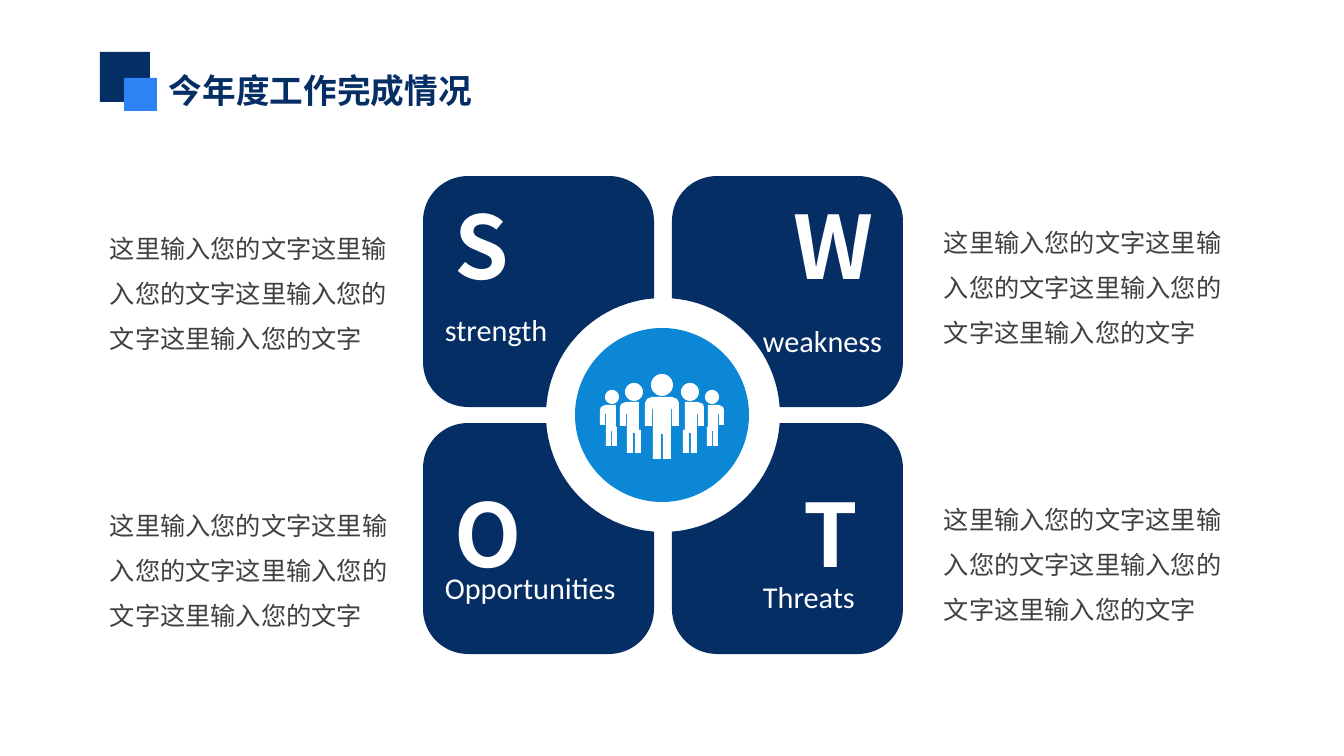
"""Builds a SWOT slide: four panels around a team disc, with a note beside each."""
import math

from lxml import etree
from pptx import Presentation
from pptx.dml.color import RGBColor
from pptx.enum.shapes import MSO_SHAPE
from pptx.enum.text import MSO_ANCHOR, MSO_AUTO_SIZE, PP_ALIGN
from pptx.oxml.ns import qn
from pptx.util import Pt

RECTANGLE, OVAL = MSO_SHAPE.RECTANGLE, MSO_SHAPE.OVAL
TOP, LEFT, GROW = MSO_ANCHOR.TOP, PP_ALIGN.LEFT, MSO_AUTO_SIZE.SHAPE_TO_FIT_TEXT
PX = 914400 / 121
COLORS = {"navy": "052E65", "blue": "2D83F4", "disc": "0B87D6",
          "white": "FFFFFF", "note": "404040"}
CJK, LATIN = "Noto Sans CJK SC", "Calibri"
NOTE = "这里输入您的文字" * 4

PANEL, CORNER, RING = 231, 45, 117
GAP_X, GAP_Y = 18, 16

# Initial, word, then the places of both inside the panel: (left, top, width, height)
SWOT = [
    ("S", "strength", (20, 10, 82, 119), (10, 129, 144, 48)),
    ("W", "weakness", (110, 10, 82, 119), (79, 140, 174, 48)),
    ("O", "Opportunities", (20, 51, 82, 119), (10, 140, 226, 48)),
    ("T", "Threats", (120, 51, 82, 119), (79, 149, 174, 48)),
]
NOTES = [(100, 213, 315, 143), (934, 207, 310, 143),
         (100, 490, 310, 143), (934, 484, 310, 143)]

# Team icon: x from its axis, y from its top
HEADS = [(0, 11, 11), (28, 18, 9), (50, 23, 7)]
LEADER = [(10, 23), (15, 25), (17, 29), (17, 52), (10, 52), (10, 35), (9, 35),
          (9, 85), (1, 85), (1, 60)]
COLLEAGUES = [
    [(23, 28), (36, 28), (41, 30), (42, 34), (42, 52), (36, 52), (36, 40), (35, 40),
     (35, 79), (29, 79), (29, 59), (27, 59), (27, 79), (21, 79), (21, 56), (23, 56)],
    [(46, 31), (57, 31), (61, 33), (62, 36), (62, 51), (57, 51), (57, 40), (56, 40),
     (56, 72), (51, 72), (51, 57), (50, 57), (50, 72), (45, 72), (45, 53), (46, 53)],
]


def emu(*pixels):
    """Turn pixels into whole EMU."""
    return [round(value * PX) for value in pixels]


def paint(shape, color):
    """Give a shape a flat fill without line or shadow."""
    shape.shadow.inherit = False
    shape.fill.solid()
    shape.fill.fore_color.rgb = RGBColor.from_string(COLORS[color])
    shape.line.fill.background()


def add_preset(slide, kind, box, color):
    """Add a flat preset shape."""
    paint(slide.shapes.add_shape(kind, *emu(*box)), color)


def add_outline(slide, contours, color):
    """Add one flat freeform made of closed contours."""
    contours = [[emu(*point) for point in contour] for contour in contours]
    builder = slide.shapes.build_freeform(*contours[0][0], scale=1.0)
    for index, (start, *others) in enumerate(contours):
        if index:
            builder.move_to(*start)
        builder.add_line_segments(others, close=True)
    paint(builder.convert_to_shape(), color)


def add_text(slide, box, text, size, font, color, bold=False):
    """Add a left-aligned text box and return it."""
    label = slide.shapes.add_textbox(*emu(*box))
    frame = label.text_frame
    frame.word_wrap, frame.auto_size, frame.vertical_anchor = True, GROW, TOP
    frame.text = text
    paragraph = frame.paragraphs[0]
    paragraph.alignment = LEFT
    run = paragraph.runs[0]
    run.font.size, run.font.bold, run.font.name = Pt(size), bold, font
    run.font.color.rgb = RGBColor.from_string(COLORS[color])
    etree.SubElement(run.font._element, qn("a:ea"), typeface=font)
    return label


def arc(x, y, radius, start, end, steps=24):
    """List points along an arc given in degrees, clockwise from the right."""
    angles = [math.radians(start + (end - start) * i / steps) for i in range(steps + 1)]
    return [(x + radius * math.cos(a), y + radius * math.sin(a)) for a in angles]


def add_title(slide, box):
    """Add the heading and its two squares."""
    left, top, width, height = box
    add_text(slide, (left + 57, top + 12, width - 57, height - 18),
             "今年度工作完成情况", 20, CJK, "navy", bold=True)
    add_preset(slide, RECTANGLE, (left, top, 50, 50), "navy")
    add_preset(slide, RECTANGLE, (left + 24, top + 26, 33, 33), "blue")


def add_panel(slide, left, top, flip_x, flip_y, content):
    """Add one panel, cut by the ring at the corner that faces the centre."""
    near, far = CORNER, PANEL - CORNER
    cut_x, cut_y = (math.degrees(math.asin(gap / 2 / RING)) for gap in (GAP_X, GAP_Y))
    outline = (arc(near, far, CORNER, 90, 180) + arc(near, near, CORNER, 180, 270)
               + arc(far, near, CORNER, 270, 360)
               + arc(PANEL + GAP_X / 2, PANEL + GAP_Y / 2, RING, 270 - cut_x, 180 + cut_y))
    add_outline(slide, [[(left + (PANEL - x if flip_x else x),
                          top + (PANEL - y if flip_y else y)) for x, y in outline]], "navy")
    initial, word, initial_box, word_box = content
    for text, (x, y, width, height), size, font, bold in (
            (initial, initial_box, 52, CJK, True), (word, word_box, 18, LATIN, False)):
        add_text(slide, (left + x, top + y, width, height), text, size, font, "white", bold)


def add_swot(slide, left, top):
    """Add the two-by-two grid of panels."""
    for index, content in enumerate(SWOT):
        row, column = divmod(index, 2)
        add_panel(slide, left + column * (PANEL + GAP_X), top + row * (PANEL + GAP_Y),
                  column, row, content)


def add_note(slide, box):
    """Add one explanatory note."""
    frame = add_text(slide, box, NOTE, 15, CJK, "note").text_frame
    frame.margin_left, frame.margin_top = frame.margin_right, frame.margin_bottom = emu(10, 5)
    frame.paragraphs[0].line_spacing = 1.5


def add_team(slide, left, top, size):
    """Add the disc with a leader and two colleagues on each side."""
    add_preset(slide, OVAL, (left, top, size, size), "disc")
    axis, icon_top = left + size / 2, top + 46
    figures = [arc(*head, 0, 345, 23) for head in HEADS] + COLLEAGUES
    mirrored = [[(-x, y) for x, y in figure] for figure in figures[1:]]
    leader = LEADER + [(-x, y) for x, y in reversed(LEADER)]
    add_outline(slide, [[(axis + x, icon_top + y) for x, y in figure]
                        for figure in [leader] + figures + mirrored], "white")


def main():
    """Build and save the slide."""
    deck = Presentation()
    deck.slide_width, deck.slide_height = emu(1344, 756)
    slide = deck.slides.add_slide(deck.slide_layouts[6])
    add_title(slide, (100, 52, 400, 71))
    add_swot(slide, 423, 176)
    for box in NOTES:
        add_note(slide, box)
    add_team(slide, 575, 328, 174)
    deck.save("out.pptx")


main()
